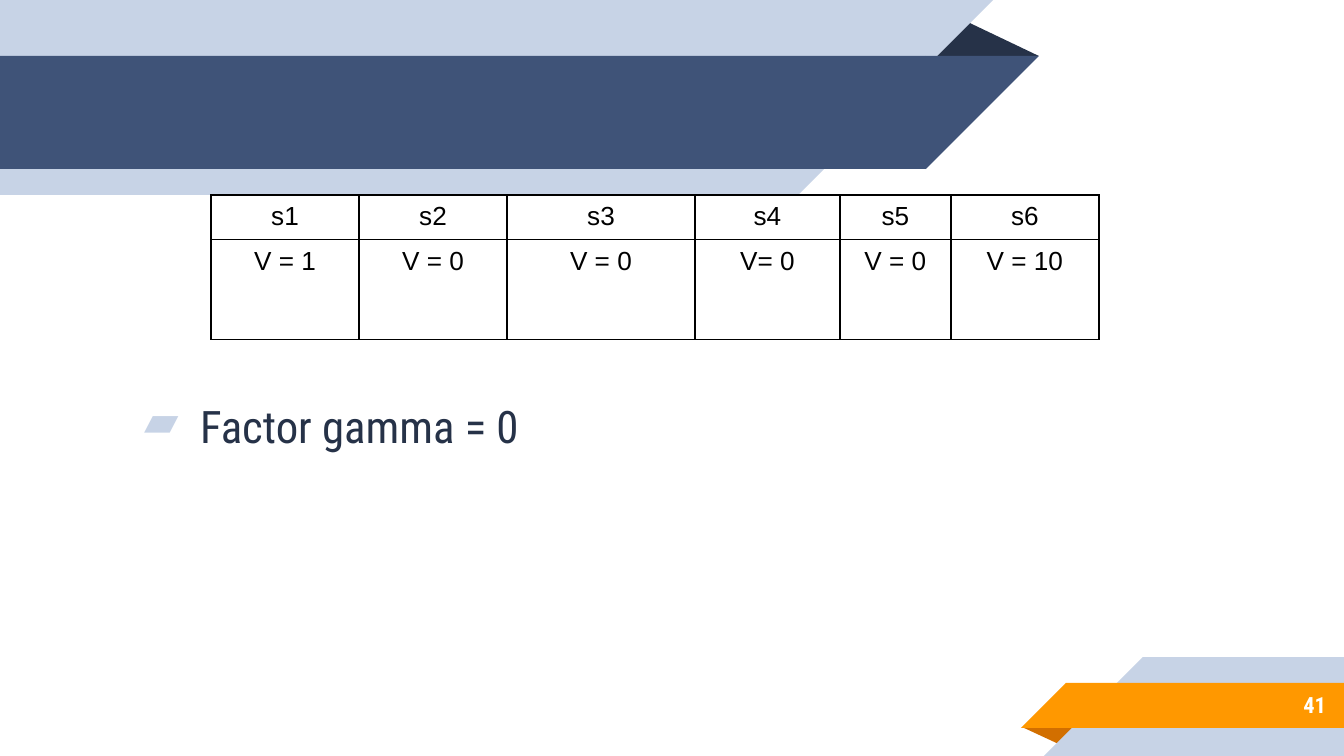
from lxml import etree
from pptx import Presentation
from pptx import util as u
from pptx.dml.color import RGBColor
from pptx.enum import shapes, text
from pptx.oxml.ns import qn

# Content
STATES = ["s1", "s2", "s3", "s4", "s5", "s6"]
VALUES = ["V = 1", "V = 0", "V = 0", "V= 0", "V = 0", "V = 10"]
BULLET_TEXT = "Factor gamma = 0"
PAGE_NUMBER = "41"

THEME = {
    "pale": "C7D3E6", "blue": "3F5378", "navy": "263248",
    "orange": "FF9800", "rust": "D26F00", "white": "FFFFFF", "black": "000000",
    "heading_font": "Roboto Condensed", "table_font": "Arial",
    "body_size": 24, "table_size": 14, "number_size": 12, "border": 0.75,
}

# Layout in px
SLIDE = (1344, 756)
COLUMNS = [148, 148, 188, 145, 111, 148]
ROWS = [43, 100]
TABLE_ORIGIN = (211, 195)
BODY_BOX = (120, 195, 902, 462)
NUMBER_BOX = (1120, 681, 219, 47)
INSET = 13
BULLET_LEFT, BULLET_INDENT = 67, -56

# Bands: top, height, x where the square part meets the slanted end, colour
HEADER_BANDS = [(0, 195, 798, "pale"), (56, 113, 926, "blue")]
FOOTER_BANDS = [(657, 99, 1143, "pale"), (683, 45, 1066, "orange")]
HEADER_FOLD = (925, 19, 114, 37, "navy")
FOOTER_FOLD = (1022, 727, 57, 18, "rust")


def px(value):
    return u.Emu(round(value * 914400 / 134.4))


def color(name):
    return RGBColor.from_string(THEME[name])


def add_block(slide, kind, box, fill, rotation=0, flip=False):
    shape = slide.shapes.add_shape(kind, *map(px, box))
    shape.shadow.inherit = False
    shape.fill.solid()
    shape.fill.fore_color.rgb = color(fill)
    shape.line.fill.background()
    shape.rotation = rotation
    if flip:
        shape._element.spPr.xfrm.set("flipH", "1")
    return shape


def add_band(slide, top, height, corner, fill, header):
    # The slanted end is 45 degrees, so it is as wide as the band is high
    if header:
        left, width, end, rotation = 0, corner, corner, 180
    else:
        left, width, end, rotation = corner, SLIDE[0] - corner, corner - height, 0
    add_block(slide, shapes.MSO_SHAPE.RECTANGLE, (left, top, width, height), fill)
    add_block(slide, shapes.MSO_SHAPE.RIGHT_TRIANGLE, (end, top, height, height),
              fill, rotation, flip=True)


def add_fold(slide, fold, rotation):
    *box, fill = fold
    shape = add_block(slide, shapes.MSO_SHAPE.ISOSCELES_TRIANGLE, box, fill, rotation)
    shape.adjustments[0] = 0.32


def write(paragraph, content, font, size, fill, bold=False, alignment=None):
    paragraph.alignment = alignment
    run = paragraph.add_run()
    run.text = content
    formats = {"name": THEME[font], "size": u.Pt(THEME[size]), "bold": bold}
    for name, value in formats.items():
        setattr(run.font, name, value)
    run.font.color.rgb = color(fill)


def add_text_box(slide, box):
    frame = slide.shapes.add_textbox(*map(px, box)).text_frame
    formats = {"word_wrap": True, "vertical_anchor": text.MSO_ANCHOR.MIDDLE}
    formats.update({f"margin_{side}": px(INSET)
                    for side in ("left", "right", "top", "bottom")})
    for name, value in formats.items():
        setattr(frame, name, value)
    return frame.paragraphs[0]


def add_bullet(paragraph):
    properties = paragraph._p.get_or_add_pPr()
    properties.set("marL", str(px(BULLET_LEFT)))
    properties.set("indent", str(px(BULLET_INDENT)))
    bullet_color = etree.SubElement(properties, qn("a:buClr"))
    etree.SubElement(bullet_color, qn("a:srgbClr"), val=THEME["pale"])
    etree.SubElement(properties, qn("a:buChar"), char="▰")


def add_borders(cell):
    properties = cell._tc.get_or_add_tcPr()
    for position, side in enumerate(("lnL", "lnR", "lnT", "lnB")):
        line = etree.Element(qn(f"a:{side}"), w=str(u.Pt(THEME["border"])))
        fill = etree.SubElement(line, qn("a:solidFill"))
        etree.SubElement(fill, qn("a:srgbClr"), val=THEME["black"])
        properties.insert(position, line)


def add_value_table(slide):
    frame = slide.shapes.add_table(len(ROWS), len(COLUMNS), *map(
        px, (*TABLE_ORIGIN, sum(COLUMNS), sum(ROWS))))
    table = frame.table
    table.first_row = table.horz_banding = False
    for column, width in zip(table.columns, COLUMNS):
        column.width = px(width)
    for row, height, contents in zip(table.rows, ROWS, (STATES, VALUES)):
        row.height = px(height)
        for cell, content in zip(row.cells, contents):
            cell.fill.background()
            add_borders(cell)
            write(cell.text_frame.paragraphs[0], content, "table_font",
                  "table_size", "black", alignment=text.PP_ALIGN.CENTER)


def main():
    presentation = Presentation()
    presentation.slide_width, presentation.slide_height = map(px, SLIDE)
    slide = presentation.slides.add_slide(presentation.slide_layouts[6])

    # Header and footer ribbons
    add_fold(slide, HEADER_FOLD, 0)
    for band in HEADER_BANDS:
        add_band(slide, *band, header=True)
    add_fold(slide, FOOTER_FOLD, 180)
    for band in FOOTER_BANDS:
        add_band(slide, *band, header=False)

    # Body text and page number
    body = add_text_box(slide, BODY_BOX)
    add_bullet(body)
    write(body, BULLET_TEXT, "heading_font", "body_size", "navy")
    number = add_text_box(slide, NUMBER_BOX)
    write(number, PAGE_NUMBER, "heading_font", "number_size", "white",
          bold=True, alignment=text.PP_ALIGN.RIGHT)

    # State values
    add_value_table(slide)
    presentation.save("out.pptx")


if __name__ == "__main__":
    main()
